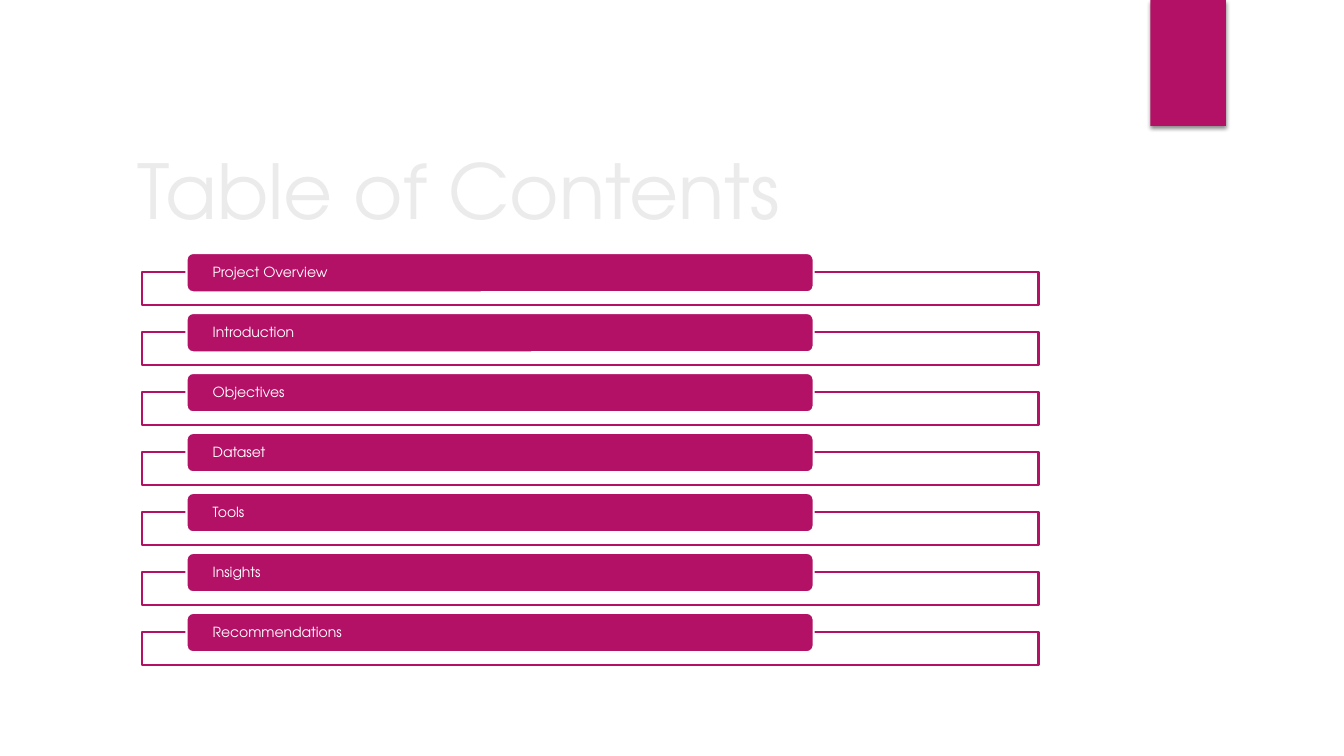
import dataclasses

import lxml.etree
import pptx
import pptx.dml.color
import pptx.enum.shapes
import pptx.enum.text
import pptx.oxml.ns
import pptx.presentation
import pptx.shapes.autoshape
import pptx.slide
import pptx.text.text
import pptx.util

Inches = pptx.util.Inches
Shapes = pptx.enum.shapes.MSO_SHAPE
Anchor = pptx.enum.text.MSO_ANCHOR


@dataclasses.dataclass(frozen=True)
class Theme:
    font: str = "TeX Gyre Adventor"
    accent: str = "B31166"
    paper: str = "FFFFFF"
    title_color: str = "EBEBEB"
    shadow: str = "000000"
    title_size: float = 54
    entry_size: float = 10
    line_width: float = 1.5


@dataclasses.dataclass(frozen=True)
class Box:
    left: float
    top: float
    width: float
    height: float


@dataclasses.dataclass(frozen=True)
class Entry:
    label: str
    frame: Box
    bar: Box


THEME = Theme()
LABELS = (
    "Project Overview",
    "Introduction",
    "Objectives",
    "Dataset",
    "Tools",
    "Insights",
    "Recommendations",
)
FIRST_BAR_TOP = 2.51
LAST_BAR_TOP = 6.08
FRAME_DROP = 0.19


def rgb(color: str) -> pptx.dml.color.RGBColor:
    return pptx.dml.color.RGBColor.from_string(color)


def add_child(parent: lxml.etree._Element, tag: str, **attributes: str) -> lxml.etree._Element:
    return lxml.etree.SubElement(parent, pptx.oxml.ns.qn(tag), attributes)


def write_text(
    frame: pptx.text.text.TextFrame,
    text: str,
    *,
    size: float,
    color: str,
    anchor: Anchor,
    side_inset: float = 0.1,
    end_inset: float = 0.05,
    line_spacing: float = 1.0,
) -> None:
    frame.word_wrap = True
    frame.auto_size = pptx.enum.text.MSO_AUTO_SIZE.NONE
    frame.vertical_anchor = anchor
    frame.margin_left = frame.margin_right = Inches(side_inset)
    frame.margin_top = frame.margin_bottom = Inches(end_inset)
    para = frame.paragraphs[0]
    para.alignment = pptx.enum.text.PP_ALIGN.LEFT
    para.line_spacing = line_spacing
    span = para.add_run()
    span.text = text
    span.font.name = THEME.font
    span.font.size = pptx.util.Pt(size)
    span.font.color.rgb = rgb(color)


def add_panel(
    page: pptx.slide.Slide, kind: Shapes, box: Box, fill: str, line: str | None = None
) -> pptx.shapes.autoshape.Shape:
    panel = page.shapes.add_shape(
        kind, Inches(box.left), Inches(box.top), Inches(box.width), Inches(box.height)
    )
    panel.shadow.inherit = False
    panel.fill.solid()
    panel.fill.fore_color.rgb = rgb(fill)
    if line is None:
        panel.line.fill.background()
    else:
        panel.line.color.rgb = rgb(line)
        panel.line.width = pptx.util.Pt(THEME.line_width)
    return panel


def add_corner_tab(page: pptx.slide.Slide) -> None:
    tab = add_panel(page, Shapes.RECTANGLE, Box(11.41, 0, 0.75, 1.25), THEME.accent)
    effects = tab.element.spPr.find(pptx.oxml.ns.qn("a:effectLst"))
    shadow = add_child(
        effects, "a:outerShdw", blurRad="38100", dist="25400", dir="5400000", rotWithShape="0"
    )
    color = add_child(shadow, "a:srgbClr", val=THEME.shadow)
    add_child(color, "a:alpha", val="45000")


def add_title(page: pptx.slide.Slide) -> None:
    title = page.shapes.title
    title.left, title.top = Inches(1.26), Inches(1.49)
    title.width, title.height = Inches(9.65), Inches(0.89)
    write_text(
        title.text_frame,
        "Table of Contents",
        size=THEME.title_size,
        color=THEME.title_color,
        anchor=Anchor.BOTTOM,
    )


def add_entry(page: pptx.slide.Slide, entry: Entry) -> None:
    frame = add_panel(page, Shapes.RECTANGLE, entry.frame, THEME.paper, THEME.accent)
    frame_color = frame.element.spPr.find(".//" + pptx.oxml.ns.qn("a:srgbClr"))
    add_child(frame_color, "a:alpha", val="90000")
    bar = add_panel(page, Shapes.ROUNDED_RECTANGLE, entry.bar, THEME.accent, THEME.paper)
    write_text(
        bar.text_frame,
        entry.label,
        size=THEME.entry_size,
        color=THEME.paper,
        anchor=Anchor.MIDDLE,
        side_inset=0.24,
        end_inset=0,
        line_spacing=0.9,
    )


def contents() -> list[Entry]:
    pitch = (LAST_BAR_TOP - FIRST_BAR_TOP) / (len(LABELS) - 1)
    tops = [FIRST_BAR_TOP + row * pitch for row in range(len(LABELS))]
    return [
        Entry(label, Box(1.41, top + FRAME_DROP, 8.89, 0.33), Box(1.85, top, 6.22, 0.39))
        for label, top in zip(LABELS, tops)
    ]


def build() -> pptx.presentation.Presentation:
    deck = pptx.Presentation()
    deck.slide_width, deck.slide_height = Inches(13.33), Inches(7.5)
    page = deck.slides.add_slide(deck.slide_layouts[5])
    page.background.fill.solid()
    page.background.fill.fore_color.rgb = rgb(THEME.paper)
    add_corner_tab(page)
    add_title(page)
    for entry in contents():
        add_entry(page, entry)
    return deck


if __name__ == "__main__":
    build().save("out.pptx")
